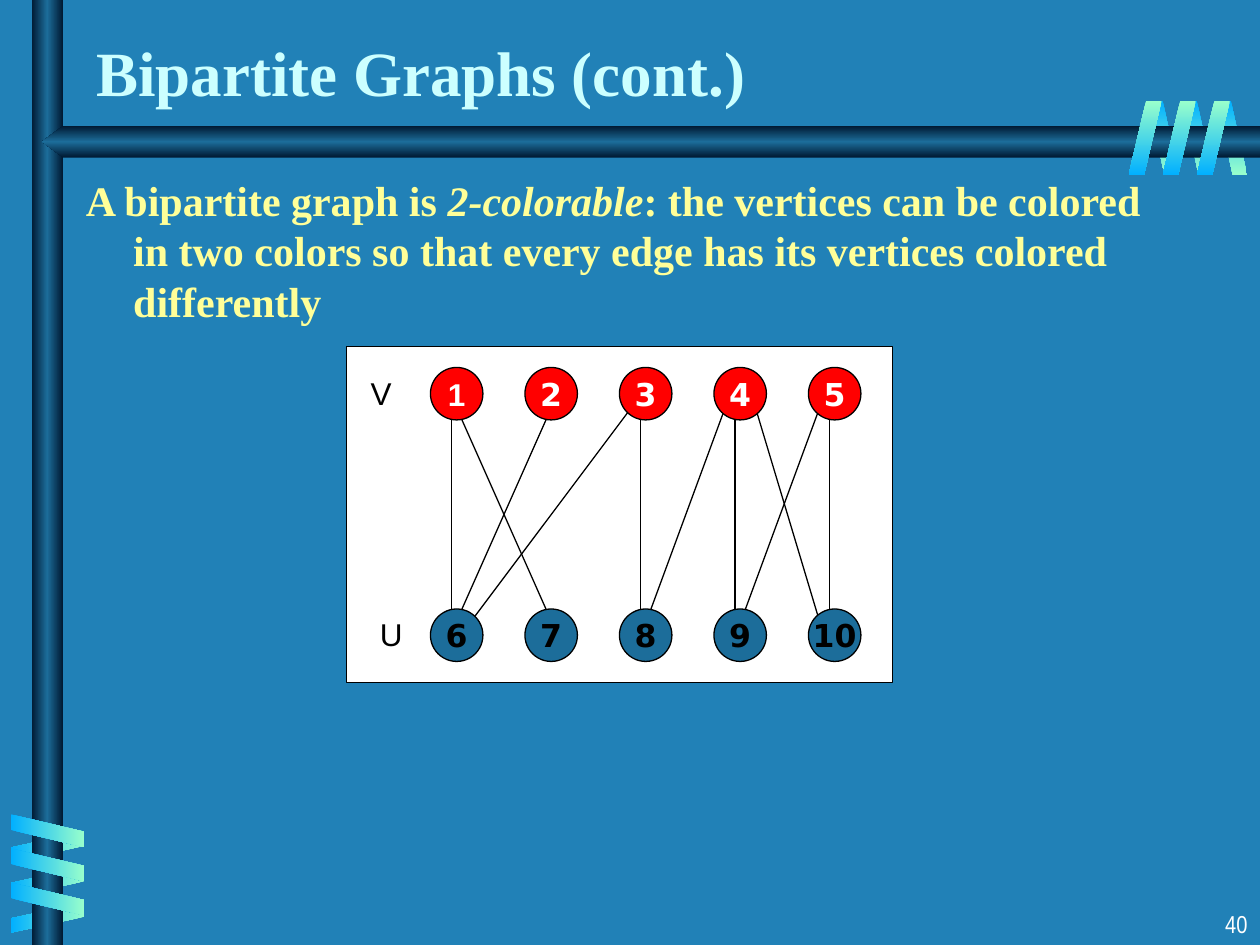
import dataclasses

import lxml.etree
import pptx
import pptx.dml.color
import pptx.enum.shapes
import pptx.enum.text
import pptx.oxml.ns
import pptx.util

PX = 9525
SHAPE = pptx.enum.shapes.MSO_SHAPE
ALIGN = pptx.enum.text.PP_ALIGN
ANCHOR = pptx.enum.text.MSO_ANCHOR


@dataclasses.dataclass(frozen=True)
class Theme:
    background: str = "2181B7"
    title: str = "CCFFFF"
    body: str = "FFFF99"
    black: str = "000000"
    white: str = "FFFFFF"
    red: str = "FF0000"
    blue: str = "1C6D9A"
    rail: tuple = ("001932", "1C6D9A", "001932")
    ribbon: tuple = ("01B0FF", "99FFCC")
    serif: str = "Times New Roman"
    sans: str = "Arial"
    narrow: str = "Arial Narrow"
    digits: str = "DejaVu Sans"
    title_size: int = 36
    body_size: int = 24
    graph_size: int = 18
    number_size: int = 14
    line_width: float = 0.75


THEME = Theme()


def px(*lengths):
    return [pptx.util.Emu(n * PX) for n in lengths]


def rgb(value):
    return pptx.dml.color.RGBColor.from_string(value)


def add_shape(slide, kind, box, fill):
    sp = slide.shapes.add_shape(kind, *px(*box))
    sp.shadow.inherit = False
    sp.fill.solid()
    sp.fill.fore_color.rgb = rgb(fill)
    sp.line.color.rgb = rgb(THEME.black)
    sp.line.width = pptx.util.Pt(THEME.line_width)
    return sp


def set_gradient(sp, colors, angle):
    sp.shadow.inherit = False
    sp.line.fill.background()
    sp.fill.gradient()
    qn = pptx.oxml.ns.qn
    grad = sp.element.spPr.find(qn("a:gradFill"))
    grad.set("rotWithShape", "0")
    stops = grad.find(qn("a:gsLst"))
    for stop in list(stops):
        stops.remove(stop)
    for i, color in enumerate(colors):
        stop = lxml.etree.SubElement(stops, qn("a:gs"), pos=str(100000 * i // (len(colors) - 1)))
        lxml.etree.SubElement(stop, qn("a:srgbClr"), val=color)
    grad.find(qn("a:lin")).set("ang", str(angle * 60000))


def add_run(p, text, font, size, color, bold=False, italic=False):
    r = p.add_run()
    r.text = text
    r.font.name = font
    r.font.size = pptx.util.Pt(size)
    r.font.color.rgb = rgb(color)
    r.font.bold = bold
    r.font.italic = italic


def add_textbox(slide, box, wrap=True):
    tf = slide.shapes.add_textbox(*px(*box)).text_frame
    tf.word_wrap = wrap
    return tf


def add_ribbons(slide, box, count, step, colors, angle, rotation=0, flip=False):
    x, y, w, h = box
    dx, dy = step
    for i in range(count):
        sp = slide.shapes.add_shape(SHAPE.PARALLELOGRAM, *px(x + i * dx, y + i * dy, w, h))
        sp.adjustments[0] = 0.53
        sp.rotation = rotation
        if flip:
            sp.element.spPr.get_or_add_xfrm().set("flipH", "1")
        set_gradient(sp, colors, angle)


def add_rails(slide, box):
    x, y, w, h = box
    post = slide.shapes.add_shape(SHAPE.RECTANGLE, *px(x + 24, y, 24, h))
    set_gradient(post, THEME.rail, 0)
    top, tip, shoulder = y + 96, x + 32, x + 48
    builder = slide.shapes.build_freeform(x + w, top, scale=PX)
    builder.add_line_segments(
        [(shoulder, top), (tip, top + 12), (shoulder, top + 24), (x + w, top + 24)]
    )
    set_gradient(builder.convert_to_shape(), THEME.rail, 90)


def add_frame(slide, box):
    x, y = box[:2]
    cool, warm = THEME.ribbon, THEME.ribbon[::-1]
    add_ribbons(slide, (x + 875, y + 77, 23, 56), 3, (26, 0), cool, 90, 180, True)
    add_ribbons(slide, (x + 25, y + 617, 23, 56), 3, (0, 27), warm, 0, 90, True)
    add_rails(slide, box)
    add_ribbons(slide, (x + 24, y + 605, 25, 56), 3, (0, 26), cool, 0, 270)
    add_ribbons(slide, (x + 860, y + 77, 25, 56), 3, (26, 0), warm, 90)


def add_title(slide, box):
    tf = add_textbox(slide, box)
    tf.vertical_anchor = ANCHOR.BOTTOM
    add_run(tf.paragraphs[0], "Bipartite Graphs (cont.)", THEME.serif, THEME.title_size, THEME.title, True)


def add_body(slide, box):
    p = add_textbox(slide, box).paragraphs[0]
    p_pr = p._p.get_or_add_pPr()
    p_pr.set("marL", str(36 * PX))
    p_pr.set("indent", str(-36 * PX))
    for text, italic in (
        ("A bipartite graph is ", False),
        ("2-colorable", True),
        (": the vertices can be colored in two colors so that every edge"
         " has its vertices colored differently", False),
    ):
        add_run(p, text, THEME.serif, THEME.body_size, THEME.body, True, italic)


def add_page_number(slide, box):
    p = add_textbox(slide, box).paragraphs[0]
    p.alignment = ALIGN.RIGHT
    add_run(p, "40", THEME.narrow, THEME.number_size, THEME.white)


def add_edge(slide, start, end):
    line = slide.shapes.add_connector(pptx.enum.shapes.MSO_CONNECTOR.STRAIGHT, *px(*start, *end))
    line.line.color.rgb = rgb(THEME.black)
    line.line.width = pptx.util.Pt(THEME.line_width)
    lxml.etree.SubElement(line.element.spPr, pptx.oxml.ns.qn("a:effectLst"))


def add_node(slide, box, label, fill, color, font):
    sp = add_shape(slide, SHAPE.OVAL, box, fill)
    tf = sp.text_frame
    tf.word_wrap = False
    tf.vertical_anchor = ANCHOR.MIDDLE
    p = tf.paragraphs[0]
    p.alignment = ALIGN.CENTER
    add_run(p, label, font, THEME.graph_size, color, True)


def add_graph(slide, box):
    x, y = box[:2]
    add_shape(slide, SHAPE.RECTANGLE, box, THEME.white)
    size, pitch, left = 40, 72, x + 64
    top, bottom = y + 16, y + 200
    inset = {8: 8, 16: 0, 24: 0, 32: 8}
    edges = (
        (1, 6, 16, 16), (1, 7, 24, 16), (3, 8, 16, 16), (4, 9, 16, 16), (5, 10, 16, 16),
        (2, 6, 16, 24), (3, 6, 8, 32), (4, 8, 8, 24), (5, 9, 8, 24), (4, 10, 32, 8),
    )
    for v, u, v_port, u_port in edges:
        start = (left + (v - 1) * pitch + v_port, top + size - inset[v_port])
        end = (left + (u - 6) * pitch + u_port, bottom + inset[u_port])
        add_edge(slide, start, end)
    rows = (
        ("V", x + 9, top, 1, THEME.red, THEME.white),
        ("U", x + 16, bottom, 6, THEME.blue, THEME.black),
    )
    for name, name_x, row_y, first, fill, color in rows:
        for i in range(5):
            font = THEME.sans if first + i == 1 else THEME.digits
            add_node(slide, (left + i * pitch, row_y, size, size), str(first + i), fill, color, font)
        tf = add_textbox(slide, (name_x, row_y, 35, 38), False)
        add_run(tf.paragraphs[0], name, THEME.sans, THEME.graph_size, THEME.black)


def main():
    prs = pptx.Presentation()
    prs.slide_width, prs.slide_height = px(960, 720)
    slide = prs.slides.add_slide(prs.slide_layouts[6])
    slide.background.fill.solid()
    slide.background.fill.fore_color.rgb = rgb(THEME.background)
    add_frame(slide, (0, 0, 960, 720))
    add_page_number(slide, (760, 688, 200, 32))
    add_title(slide, (64, 16, 797, 72))
    add_graph(slide, (264, 264, 416, 256))
    add_body(slide, (56, 128, 848, 128))
    prs.save("out.pptx")


if __name__ == "__main__":
    main()
